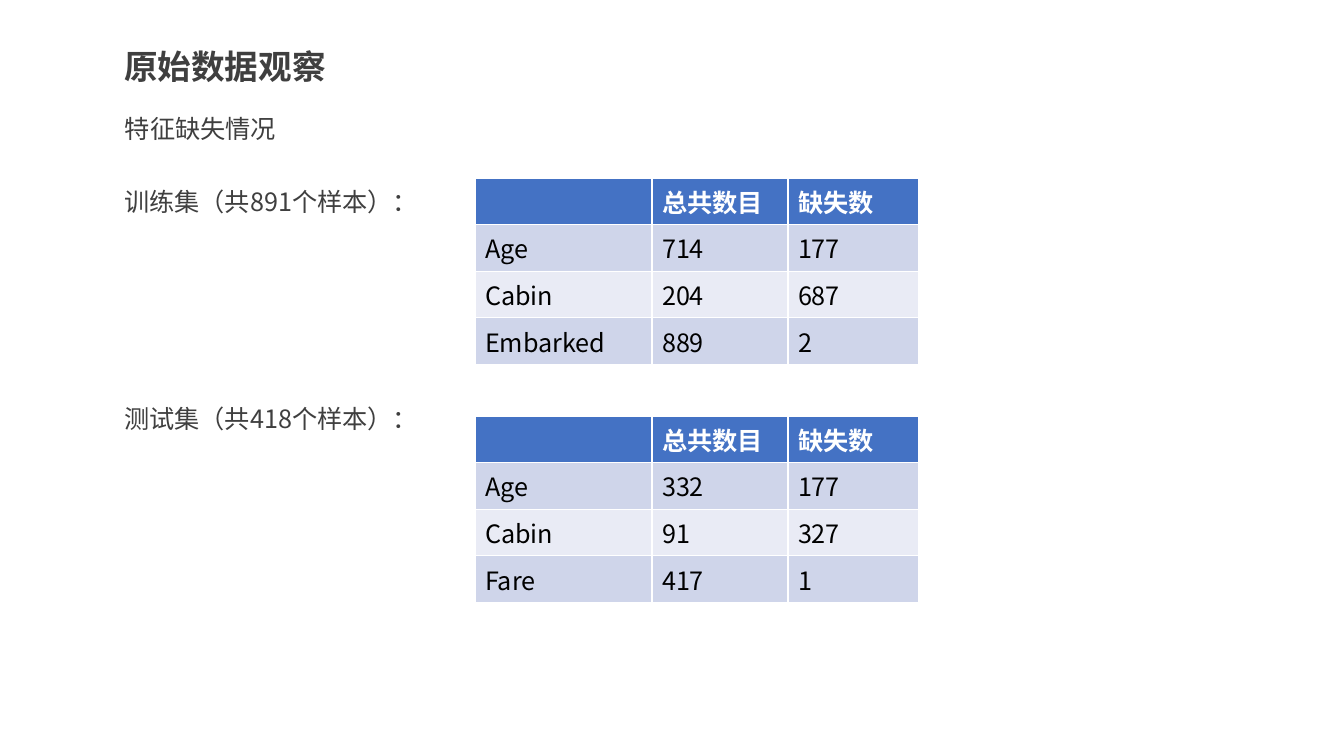
from lxml import etree
from pptx import Presentation
from pptx.dml.color import RGBColor
from pptx.enum.text import MSO_ANCHOR, MSO_AUTO_SIZE, PP_ALIGN
from pptx.oxml.ns import qn
from pptx.util import Emu, Pt

TOP = MSO_ANCHOR.TOP
NO_FIT = MSO_AUTO_SIZE.NONE
LEFT = PP_ALIGN.LEFT

FONT = "Noto Sans CJK SC"
GREY = RGBColor(0x3F, 0x3F, 0x3F)
BLACK = RGBColor(0, 0, 0)
WHITE = RGBColor(0xFF, 0xFF, 0xFF)
HEADER_BLUE = RGBColor(0x44, 0x72, 0xC4)
BANDS = (RGBColor(0xCF, 0xD5, 0xEA), RGBColor(0xE9, 0xEB, 0xF5))

PX = 914400 / 100.8
TABLE_LEFT = 475
COLUMN_WIDTHS = (177, 136, 131)
ROW_HEIGHT = 41
HEADER = ("", "总共数目", "缺失数")
TRAINING = (("Age", "714", "177"), ("Cabin", "204", "687"), ("Embarked", "889", "2"))
TEST = (("Age", "332", "177"), ("Cabin", "91", "327"), ("Fare", "417", "1"))


def px(length):
    return Emu(round(length * PX))


def write(paragraph, text, size=18, color=GREY, bold=False, spacing=1.0, before=0):
    paragraph.alignment = LEFT
    paragraph.line_spacing = spacing
    paragraph.space_before = Pt(before)
    font = paragraph.font
    if text:
        run = paragraph.add_run()
        run.text = text
        font = run.font
        east_asian = etree.SubElement(font._element, qn("a:ea"))
        east_asian.set("typeface", FONT)
    font.name = FONT
    font.size = Pt(size)
    font.bold = bold
    font.color.rgb = color


def place(holder, left, top, width, height, wrap=True):
    holder.left, holder.top = px(left), px(top)
    holder.width, holder.height = px(width), px(height)
    frame = holder.text_frame
    frame.word_wrap = wrap
    frame.auto_size = NO_FIT
    frame.vertical_anchor = TOP
    return frame


def remove_bullet(paragraph):
    properties = paragraph._p.get_or_add_pPr()
    properties.set("marL", "0")
    properties.set("indent", "0")
    etree.SubElement(properties, qn("a:buNone"))


def add_missing_table(slide, top, features):
    rows = (HEADER,) + features
    table = slide.shapes.add_table(
        len(rows), len(HEADER), px(TABLE_LEFT), px(top),
        px(sum(COLUMN_WIDTHS)), px(ROW_HEIGHT * len(rows))).table
    for column, width in zip(table.columns, COLUMN_WIDTHS):
        column.width = px(width)
    for r, values in enumerate(rows):
        table.rows[r].height = px(ROW_HEIGHT)
        is_header = r == 0
        for c, value in enumerate(values):
            cell = table.cell(r, c)
            cell.fill.solid()
            cell.fill.fore_color.rgb = HEADER_BLUE if is_header else BANDS[(r - 1) % 2]
            write(cell.text_frame.paragraphs[0], value,
                  color=WHITE if is_header else BLACK, bold=is_header)


def main():
    deck = Presentation()
    deck.slide_width, deck.slide_height = px(1344), px(756)
    slide = deck.slides.add_slide(deck.slide_layouts[1])
    title, sample_sets = slide.placeholders

    heading = place(title, 114, 41, 224, 50, wrap=False)
    write(heading.paragraphs[0], "原始数据观察", size=24, bold=True)

    subtitle = slide.shapes.add_textbox(0, 0, 0, 0)
    caption = place(subtitle, 115, 108, 177, 40, wrap=False)
    write(caption.paragraphs[0], "特征缺失情况")

    labels = place(sample_sets, 114, 166, 311, 279)
    write(labels.paragraphs[0], "训练集（共891个样本）：", spacing=1.5)
    write(labels.add_paragraph(), "测试集（共418个样本）：", spacing=1.5, before=123)
    for label in labels.paragraphs:
        remove_bullet(label)

    add_missing_table(slide, 178, TRAINING)
    add_missing_table(slide, 416, TEST)
    deck.save("out.pptx")


main()
